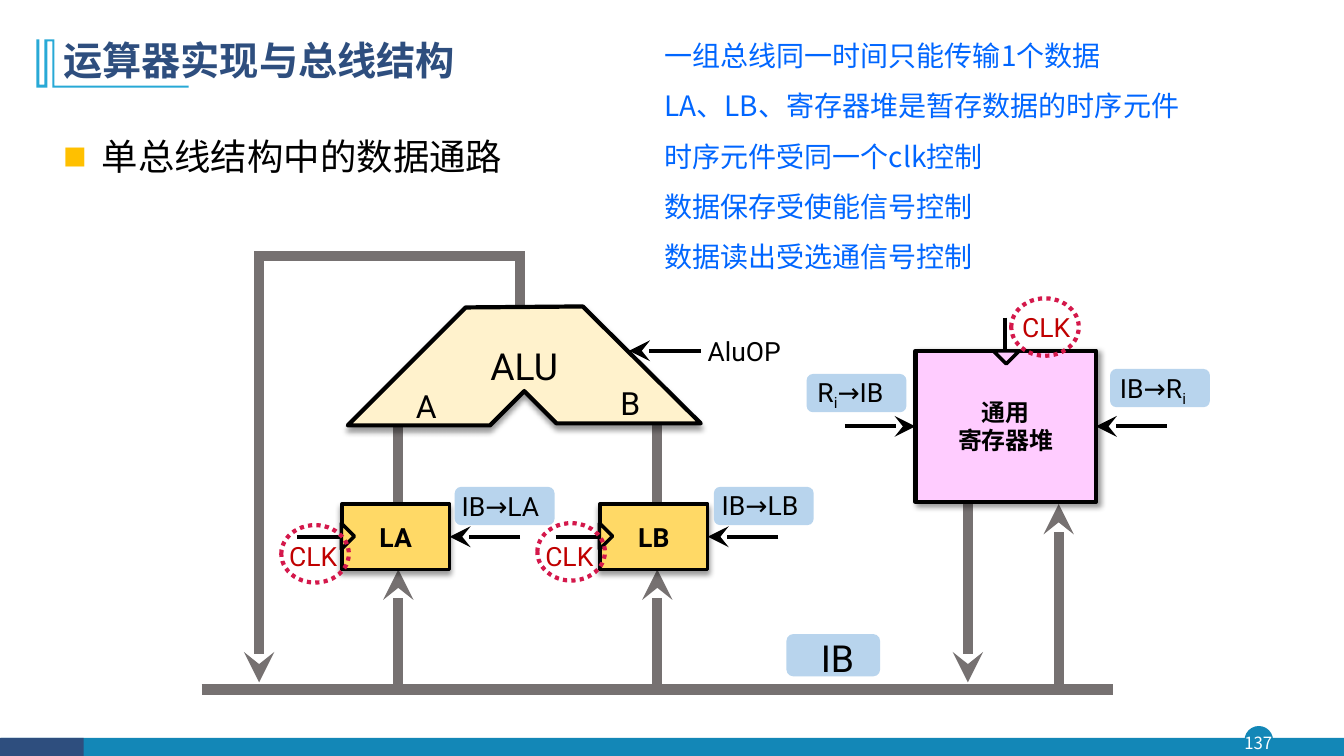
from lxml.etree import SubElement
from pptx import Presentation
from pptx.dml.color import RGBColor
from pptx.enum.dml import MSO_LINE
from pptx.enum.shapes import MSO_CONNECTOR, MSO_SHAPE as SHAPE
from pptx.enum.text import MSO_ANCHOR as ANCHOR, PP_ALIGN as ALIGN
from pptx.oxml.ns import qn
from pptx.util import Inches, Pt

CJK, LATIN = "Noto Sans CJK SC", "Roboto"
BLACK, WHITE = RGBColor(0, 0, 0), RGBColor(255, 255, 255)
NAVY, TEAL, CYAN = RGBColor(0x2E, 0x4E, 0x7E), RGBColor(0x13, 0x87, 0xB7), RGBColor(0x28, 0xA9, 0xD6)
GRAY, BLUE, CHIP = RGBColor(0x76, 0x71, 0x71), RGBColor(0, 0x66, 0xFF), RGBColor(0xB8, 0xD4, 0xED)
CREAM, YELLOW, PINK = RGBColor(0xFF, 0xF2, 0xCC), RGBColor(0xFF, 0xD9, 0x66), RGBColor(0xFF, 0xCC, 0xFF)
RED, CRIMSON = RGBColor(0xC0, 0, 0), RGBColor(0xD4, 0x18, 0x4B)

# Content
TITLE = "运算器实现与总线结构"
SUBTITLE = "单总线结构中的数据通路"
NOTES = ["一组总线同一时间只能传输1个数据", "LA、LB、寄存器堆是暂存数据的时序元件",
         "时序元件受同一个clk控制", "数据保存受使能信号控制", "数据读出受选通信号控制"]
ORNAMENT = [(0.54, 0.39), (0.54, 0.85), (1.87, 0.85), (1.87, 0.87), (0.52, 0.87), (0.52, 0.41),
            (0.47, 0.41), (0.47, 0.87), (0.36, 0.87), (0.36, 0.39), (0.39, 0.39), (0.39, 0.84),
            (0.44, 0.84), (0.44, 0.39)]
ALU_OUTLINE = [(4.62, 3.05), (3.45, 4.22), (4.86, 4.22), (5.2, 3.88), (5.52, 4.2), (6.95, 4.2), (5.78, 3.04)]
# Thick bus lines: start, end, arrowhead at end
BUS_LINES = [
    ((2.52, 2.54), (5.21, 2.54), False), ((5.16, 2.54), (5.16, 3.05), False),
    ((2.57, 2.54), (2.57, 6.77), True), ((3.95, 5.04), (3.95, 4.22), False),
    ((6.52, 5.04), (6.52, 4.22), False), ((3.95, 6.79), (3.95, 5.65), True),
    ((6.52, 6.79), (6.52, 5.65), True), ((9.6, 4.98), (9.6, 6.77), True),
    ((10.5, 6.84), (10.5, 5), True), ((2, 6.84), (11.04, 6.84), False)]
LATCHES = [("LA", 3.39), ("LB", 5.95)]
LATCH_TOP, LATCH_WIDTH, LATCH_HEIGHT = 5, 1.07, 0.65
# Control chips: chip corner, label corner, text pieces (text, is subscript)
CHIPS = [((4.51, 4.83), (4.48, 4.81), [("IB→LA", False)]),
         ((7.08, 4.83), (7.06, 4.8), [("IB→LB", False)]),
         ((8, 3.71), (8.01, 3.68), [("R", False), ("i", True), ("→IB", False)]),
         ((11.01, 3.66), (11.01, 3.64), [("IB→R", False), ("i", True)])]
# Clocks: label corner, ring corner
CLOCKS = [((2.77, 5.31), (2.79, 5.21)), ((5.31, 5.31), (5.33, 5.19)), ((10.04, 3.04), (10.03, 2.96))]

presentation = Presentation()
presentation.slide_width, presentation.slide_height = Inches(13.33), Inches(7.5)
slide = presentation.slides.add_slide(presentation.slide_layouts[6])
shapes = slide.shapes


def style(shape, fill, line=None, width=0, shadow_angle=None):
    shape.shadow.inherit = False
    if fill is None:
        shape.fill.background()
    else:
        shape.fill.solid()
        shape.fill.fore_color.rgb = fill
    if line is None:
        shape.line.fill.background()
    else:
        shape.line.color.rgb = line
        shape.line.width = Pt(width)
    if shadow_angle is not None:
        effects = shape._element.spPr.find(qn("a:effectLst"))
        shadow = SubElement(effects, qn("a:outerShdw"), blurRad=str(Pt(4)), dist=str(Pt(3)),
                            dir=str(shadow_angle * 60000), algn="t", rotWithShape="0")
        color = SubElement(shadow, qn("a:srgbClr"), val="000000")
        SubElement(color, qn("a:alpha"), val="40000")
    return shape


def preset(kind, left, top, width, height, *look, rotation=0, **options):
    shape = shapes.add_shape(kind, Inches(left), Inches(top), Inches(width), Inches(height))
    shape.rotation = rotation
    return style(shape, *look, **options)


def outline(points, *look, **options):
    (start_x, start_y), *rest = [(Inches(x), Inches(y)) for x, y in points]
    builder = shapes.build_freeform(start_x, start_y)
    builder.add_line_segments(rest, close=True)
    return style(builder.convert_to_shape(), *look, **options)


def add_run(paragraph, text, size, color, font=LATIN, bold=False, subscript=False):
    run = paragraph.add_run()
    run.text = text
    run.font.size, run.font.bold, run.font.name = Pt(size), bold, font
    run.font.color.rgb = color
    SubElement(run.font._element, qn("a:ea"), typeface=font)
    if subscript:
        run.font._element.set("baseline", "-25000")


def write(shape, lines, size, color, font=LATIN, bold=False, align=ALIGN.CENTER,
          anchor=ANCHOR.MIDDLE, spacing=None, wrap=True):
    frame = shape.text_frame
    frame.word_wrap, frame.vertical_anchor = wrap, anchor
    for index, line in enumerate(lines):
        paragraph = frame.add_paragraph() if index else frame.paragraphs[0]
        paragraph.alignment = align
        if spacing:
            paragraph.line_spacing = spacing
        for text, subscript in [(line, False)] if isinstance(line, str) else line:
            add_run(paragraph, text, size, color, font, bold, subscript)
    return frame


def text_box(left, top, width, height, lines, size, color, **options):
    box = shapes.add_textbox(Inches(left), Inches(top), Inches(width), Inches(height))
    options = {"align": ALIGN.LEFT, "anchor": ANCHOR.TOP, **options}
    return write(box, lines, size, color, **options)


def connect(start, end, color=BLACK, width=3, arrow=None, target=None, site=0):
    line = shapes.add_connector(MSO_CONNECTOR.STRAIGHT, *[Inches(v) for v in (*start, *end)])
    line.line.color.rgb, line.line.width = color, Pt(width)
    if arrow:
        SubElement(line.line._get_or_add_ln(), qn("a:tailEnd"), type="stealth", w=arrow, len=arrow)
    SubElement(line._element.spPr, qn("a:effectLst"))
    if target is not None:
        line.end_connect(target, site)


# Footer and title ornament
preset(SHAPE.OVAL, 12.35, 7.21, 0.27, 0.27, TEAL, TEAL, 1)
preset(SHAPE.RECTANGLE, 0.01, 7.32, 13.32, 0.19, TEAL)
preset(SHAPE.RECTANGLE, 0, 7.32, 0.83, 0.19, NAVY)
page = text_box(12.32, 7.21, 0.32, 0.31, ["137"], 12, WHITE, font=CJK,
                align=ALIGN.CENTER, anchor=ANCHOR.MIDDLE, wrap=False)
page.margin_left = page.margin_right = page.margin_top = page.margin_bottom = 0
outline(ORNAMENT, CYAN)

# Title and bulleted subtitle
text_box(0.53, 0.28, 11.5, 0.68, [TITLE], 28, NAVY, font=CJK, bold=True,
         anchor=ANCHOR.MIDDLE, spacing=0.9)
subtitle = text_box(0.53, 1.07, 11.5, 1.01, [SUBTITLE], 26, BLACK, font=CJK,
                    align=ALIGN.JUSTIFY, spacing=Pt(46.6))
properties = subtitle.paragraphs[0]._p.get_or_add_pPr()
properties.set("marL", str(Inches(0.38)))
properties.set("indent", str(Inches(-0.38)))
SubElement(SubElement(properties, qn("a:buClr")), qn("a:srgbClr"), val="FFC000")
SubElement(properties, qn("a:buSzPct"), val="65000")
SubElement(properties, qn("a:buFont"), typeface=CJK)
SubElement(properties, qn("a:buChar"), char="■")

# Bus and ALU
for start, end, has_arrow in BUS_LINES:
    connect(start, end, GRAY, 7.25, "med" if has_arrow else None)
alu = outline(ALU_OUTLINE, CREAM, BLACK, 3, shadow_angle=90)
write(alu, ["ALU"], 26.6, BLACK)
for name, left, top in [("A", 4, 3.79), ("B", 6.02, 3.76)]:
    text_box(left, top, 0.43, 0.48, [name], 22.8, BLACK, align=ALIGN.RIGHT, wrap=False)
connect((6.95, 3.48), (6.24, 3.48), arrow="lg")
text_box(6.92, 3.27, 1.31, 0.34, ["AluOP"], 18.9, BLACK)

# Latches with clock input and enable arrow
middle = LATCH_TOP + LATCH_HEIGHT / 2
for name, left in LATCHES:
    latch = preset(SHAPE.RECTANGLE, left, LATCH_TOP, LATCH_WIDTH, LATCH_HEIGHT,
                   YELLOW, BLACK, 2.5, shadow_angle=90)
    write(latch, [name], 18.9, BLACK, bold=True)
    preset(SHAPE.ISOSCELES_TRIANGLE, left - 0.07, middle - 0.07, 0.26, 0.13,
           YELLOW, BLACK, 2.5, rotation=90)
    right = left + LATCH_WIDTH
    connect((left - 0.44, middle), (left, middle), target=latch, site=1)
    connect((right + 0.7, middle), (right, middle), arrow="lg", target=latch, site=3)

# Register file
registers = preset(SHAPE.RECTANGLE, 9.08, 3.48, 1.79, 1.5, PINK, BLACK, 3, shadow_angle=45)
write(registers, ["通用", "寄存器堆"], 17.1, BLACK, font=CJK, bold=True, spacing=Pt(20))
preset(SHAPE.ISOSCELES_TRIANGLE, 9.85, 3.48, 0.26, 0.13, PINK, BLACK, 2.5, rotation=180)
connect((9.97, 3.15), (9.97, 3.49))
connect((8.38, 4.23), (9.08, 4.23), arrow="lg", target=registers, site=1)
connect((11.57, 4.23), (10.87, 4.23), arrow="lg", target=registers, site=3)

# Control signals, bus name and clocks
for chip, label, pieces in CHIPS:
    preset(SHAPE.ROUNDED_RECTANGLE, *chip, 0.99, 0.38, CHIP)
    text_box(*label, 1.1, 0.34, [pieces], 18.9, BLACK, wrap=False)
preset(SHAPE.ROUNDED_RECTANGLE, 7.8, 6.29, 0.93, 0.42, CHIP)
text_box(7.98, 6.25, 0.59, 0.55, ["IB"], 26.6, BLACK, align=ALIGN.RIGHT, wrap=False)
for label, ring in CLOCKS:
    text_box(*label, 0.83, 0.34, ["CLK"], 18.9, RED)
    preset(SHAPE.OVAL, *ring, 0.67, 0.57, None, CRIMSON, 3).line.dash_style = MSO_LINE.ROUND_DOT

# Notes
text_box(6.49, 0.17, 5.36, 2.63, NOTES, 20, BLUE, font=CJK, spacing=Pt(35.9))

presentation.save("out.pptx")
